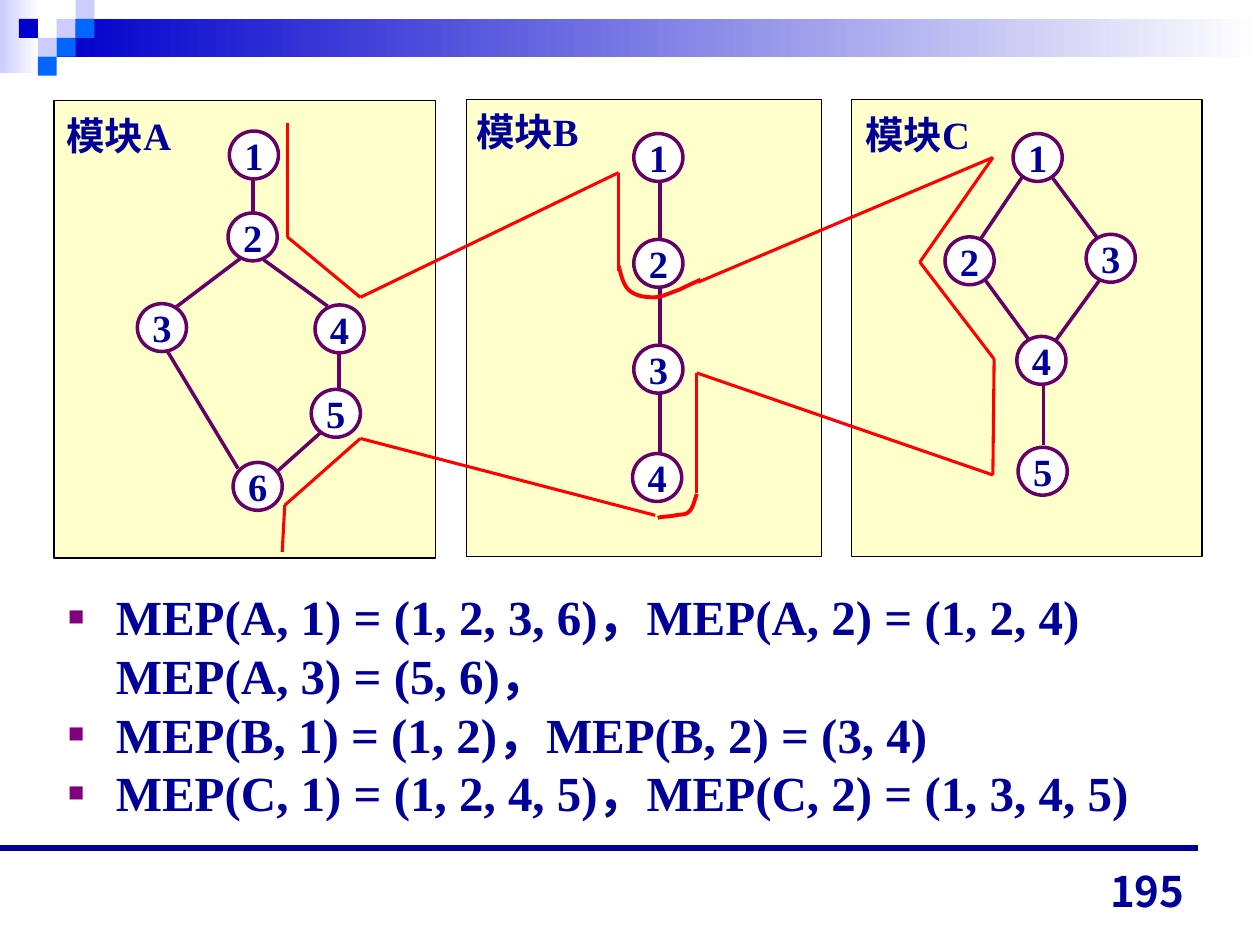
from dataclasses import dataclass

from lxml import etree
from pptx import Presentation
from pptx.dml.color import RGBColor
from pptx.enum.shapes import MSO_CONNECTOR, MSO_SHAPE
from pptx.enum.text import MSO_ANCHOR, MSO_AUTO_SIZE, PP_ALIGN
from pptx.oxml.ns import qn
from pptx.util import Inches, Pt

RECT, OVAL = MSO_SHAPE.RECTANGLE, MSO_SHAPE.OVAL
STRAIGHT = MSO_CONNECTOR.STRAIGHT
TOP, MIDDLE, BOTTOM = MSO_ANCHOR.TOP, MSO_ANCHOR.MIDDLE, MSO_ANCHOR.BOTTOM
LEFT, CENTER, RIGHT = PP_ALIGN.LEFT, PP_ALIGN.CENTER, PP_ALIGN.RIGHT
NO_FIT = MSO_AUTO_SIZE.NONE


@dataclass(frozen=True)
class Theme:
    """Colours, fonts and type sizes."""
    white: str = "FFFFFF"
    black: str = "000000"
    light: str = "CCCCFF"
    deep: str = "0000CC"
    sky: str = "0066FF"
    ink: str = "000099"
    cream: str = "FFFFCC"
    plum: str = "660066"
    bullet: str = "800080"
    red: str = "FF0000"
    font: str = "Times New Roman"
    asian: str = "Noto Sans CJK JP"
    label: int = 22
    list: int = 28
    page: int = 24


T = Theme()

SQUARES = [(3, 1, T.light), (4, 0, T.light), (4, 1, T.sky), (2, 2, T.light),
           (1, 1, T.deep), (3, 2, T.sky), (2, 3, T.sky)]

MODULES = [
    ("模块B", (3.7, 0.79, 2.82, 3.63), (-0.02, 0.02),
     [(1.33, 0.27), (1.33, 1.11), (1.33, 1.95), (1.32, 2.81)],
     [(1.54, 0.65, 1.54, 2.96)]),
    ("模块A", (0.43, 0.8, 3.03, 3.63), (0, 0.04),
     [(1.39, 0.24), (1.38, 0.89), (0.66, 1.61), (2.07, 1.62), (2.04, 2.29),
      (1.42, 2.87)],
     [(1.58, 0.62, 1.58, 0.89), (2.26, 2.01, 2.26, 2.28),
      (1.48, 1.25, 0.95, 1.65), (1.66, 1.26, 2.17, 1.63),
      (2.13, 2.62, 1.76, 2.95), (0.9, 1.99, 1.46, 2.92)]),
    ("模块C", (6.76, 0.79, 2.78, 3.63), (0.01, 0.04),
     [(1.28, 0.27), (0.74, 1.09), (1.86, 1.07), (1.31, 1.88), (1.32, 2.76)],
     [(1.02, 1.38, 1.46, 1.98), (1.37, 0.59, 1.02, 1.11),
      (1.57, 0.59, 1.98, 1.14), (1.52, 2.25, 1.52, 2.74),
      (2.05, 1.32, 1.57, 1.98)]),
]

TRAILS = [
    [(1.88, 0.18), (1.88, 1.08), (2.46, 1.56), (4.51, 0.57), (4.51, 1.35)],
    [(5.14, 1.44), (7.48, 0.45), (6.9, 1.28), (7.49, 2.05), (7.48, 2.97),
     (5.13, 2.16), (5.13, 3.11)],
    [(4.8, 3.29), (2.46, 2.68), (1.86, 3.21), (1.84, 3.58)],
]

BENDS = [
    [(4.51, 1.31), (4.53, 1.39), (4.55, 1.47), (4.6, 1.51), (4.65, 1.55),
     (4.72, 1.56), (4.79, 1.56), (4.85, 1.56), (4.93, 1.52), (4.99, 1.5),
     (5.05, 1.47), (5.14, 1.43), (5.16, 1.42)],
    [(5.13, 3.12), (5.11, 3.18), (5.1, 3.23), (5.07, 3.26), (5.04, 3.29),
     (5, 3.28), (4.96, 3.29), (4.92, 3.3), (4.84, 3.3), (4.82, 3.31)],
]

PATHS = ["MEP(A, 1) = (1, 2, 3, 6)，MEP(A, 2) = (1, 2, 4) MEP(A, 3) = (5, 6)，",
         "MEP(B, 1) = (1, 2)，MEP(B, 2) = (3, 4)",
         "MEP(C, 1) = (1, 2, 4, 5)，MEP(C, 2) = (1, 3, 4, 5)"]


def rgb(code):
    """Turn a hex code into a colour."""
    return RGBColor.from_string(code)


def style(para, size, align=LEFT, font=T.font):
    """Format the runs of a paragraph."""
    para.alignment = align
    for run in para.runs:
        run.font.size, run.font.bold, run.font.name = Pt(size), True, font
        run.font.color.rgb = rgb(T.ink)
        etree.SubElement(run._r.get_or_add_rPr(), qn("a:ea"), typeface=T.asian)


def shape(slide, kind, box, fill, line=None, width=1):
    """Add a filled shape; a pair of colours makes a gradient."""
    item = slide.shapes.add_shape(kind, *map(Inches, box))
    item.shadow.inherit = False
    if isinstance(fill, tuple):
        item.fill.gradient()
        item.fill.gradient_angle = 180
        for stop, code in zip(item.fill.gradient_stops, fill):
            stop.color.rgb = rgb(code)
    else:
        item.fill.solid()
        item.fill.fore_color.rgb = rgb(fill)
    if line:
        item.line.color.rgb, item.line.width = rgb(line), Pt(width)
    else:
        item.line.fill.background()
    return item


def link(slide, ends, color, width):
    """Add a straight line."""
    item = slide.shapes.add_connector(STRAIGHT, *map(Inches, ends))
    item.line.color.rgb, item.line.width = rgb(color), Pt(width)
    etree.SubElement(item._element.spPr, qn("a:effectLst"))


def label(slide, box, text, size, align=LEFT, anchor=TOP, font=T.font):
    """Add a line of text."""
    frame = slide.shapes.add_textbox(*map(Inches, box)).text_frame
    frame.word_wrap, frame.vertical_anchor = True, anchor
    frame.text = text
    style(frame.paragraphs[0], size, align, font)


def header(slide, x, y, wide):
    """Draw the fading bar and its squares."""
    unit = 0.15
    shape(slide, RECT, (x, y, 0.31, 0.58), (T.white, T.light))
    shape(slide, RECT, (x + 3 * unit, y + unit, wide - 3 * unit, 2 * unit),
          (T.white, T.deep))
    for col, row, color in SQUARES:
        shape(slide, RECT, (x + col * unit, y + row * unit, unit, unit), color)


def module(slide, name, box, spot, nodes, edges):
    """Draw one module with its flow graph."""
    x, y = box[:2]
    shape(slide, RECT, box, T.cream, T.black, 0.75)
    label(slide, (x + spot[0], y + spot[1], 1.3, 0.7), name, T.label)
    for a, b, c, d in edges:
        link(slide, (x + a, y + b, x + c, y + d), T.plum, 2)
    for num, (a, b) in enumerate(nodes, 1):
        oval = shape(slide, OVAL, (x + a, y + b, 0.39, 0.38), T.white, T.plum, 2)
        frame = oval.text_frame
        frame.margin_left = frame.margin_right = 0
        frame.margin_top = frame.margin_bottom = 0
        frame.word_wrap, frame.vertical_anchor = False, MIDDLE
        frame.text = str(num)
        style(frame.paragraphs[0], T.label, CENTER)


def bezier(pts, steps=8):
    """List points along joined cubic curves."""
    out = [pts[0]]
    for i in range(0, len(pts) - 1, 3):
        for k in range(1, steps + 1):
            t = k / steps
            mix = ((1 - t) ** 3, 3 * t * (1 - t) ** 2, 3 * t * t * (1 - t), t ** 3)
            out.append(tuple(sum(m * p[j] for m, p in zip(mix, pts[i:i + 4]))
                             for j in (0, 1)))
    return out


def trails(slide, x, y):
    """Draw the red run through the modules."""
    for pts in TRAILS:
        for (a, b), (c, d) in zip(pts, pts[1:]):
            link(slide, (x + a, y + b, x + c, y + d), T.red, 1.75)
    for bend in BENDS:
        pts = [(Inches(x + a), Inches(y + b)) for a, b in bezier(bend)]
        pen = slide.shapes.build_freeform(*pts[0])
        pen.add_line_segments(pts[1:], close=False)
        curve = pen.convert_to_shape()
        curve.shadow.inherit = False
        curve.fill.background()
        curve.line.color.rgb, curve.line.width = rgb(T.red), Pt(2.25)


def listing(slide, box):
    """Fill the body with the bulleted paths."""
    body = slide.placeholders[1]
    body.left, body.top, body.width, body.height = map(Inches, box)
    frame = body.text_frame
    frame.text = "\n".join(PATHS)
    frame.word_wrap, frame.auto_size, frame.vertical_anchor = True, NO_FIT, TOP
    for para in frame.paragraphs:
        para.space_before, para.line_spacing = Pt(0), Pt(33.5)
        props = para._p.get_or_add_pPr()
        props.set("marL", str(Inches(0.38)))
        props.set("indent", str(Inches(-0.38)))
        tint = etree.SubElement(props, qn("a:buClr"))
        etree.SubElement(tint, qn("a:srgbClr"), val=T.bullet)
        etree.SubElement(props, qn("a:buSzPct"), val="55000")
        etree.SubElement(props, qn("a:buChar"), char="■")
        style(para, T.list)


def main():
    """Build the slide."""
    deck = Presentation()
    deck.slide_width, deck.slide_height = Inches(10), Inches(7.5)
    slide = deck.slides.add_slide(deck.slide_layouts[1])
    title = slide.shapes.title._element
    title.getparent().remove(title)
    header(slide, 0, 0, 10)
    link(slide, (0, 6.73, 9.51, 6.73), T.ink, 3.25)
    listing(slide, (0.44, 4.61, 9.33, 2.22))
    for part in MODULES:
        module(slide, *part)
    trails(slide, 0.4, 0.8)
    label(slide, (7.17, 6.82, 2.33, 0.5), "195", T.page, RIGHT, BOTTOM, T.asian)
    deck.save("out.pptx")


if __name__ == "__main__":
    main()
